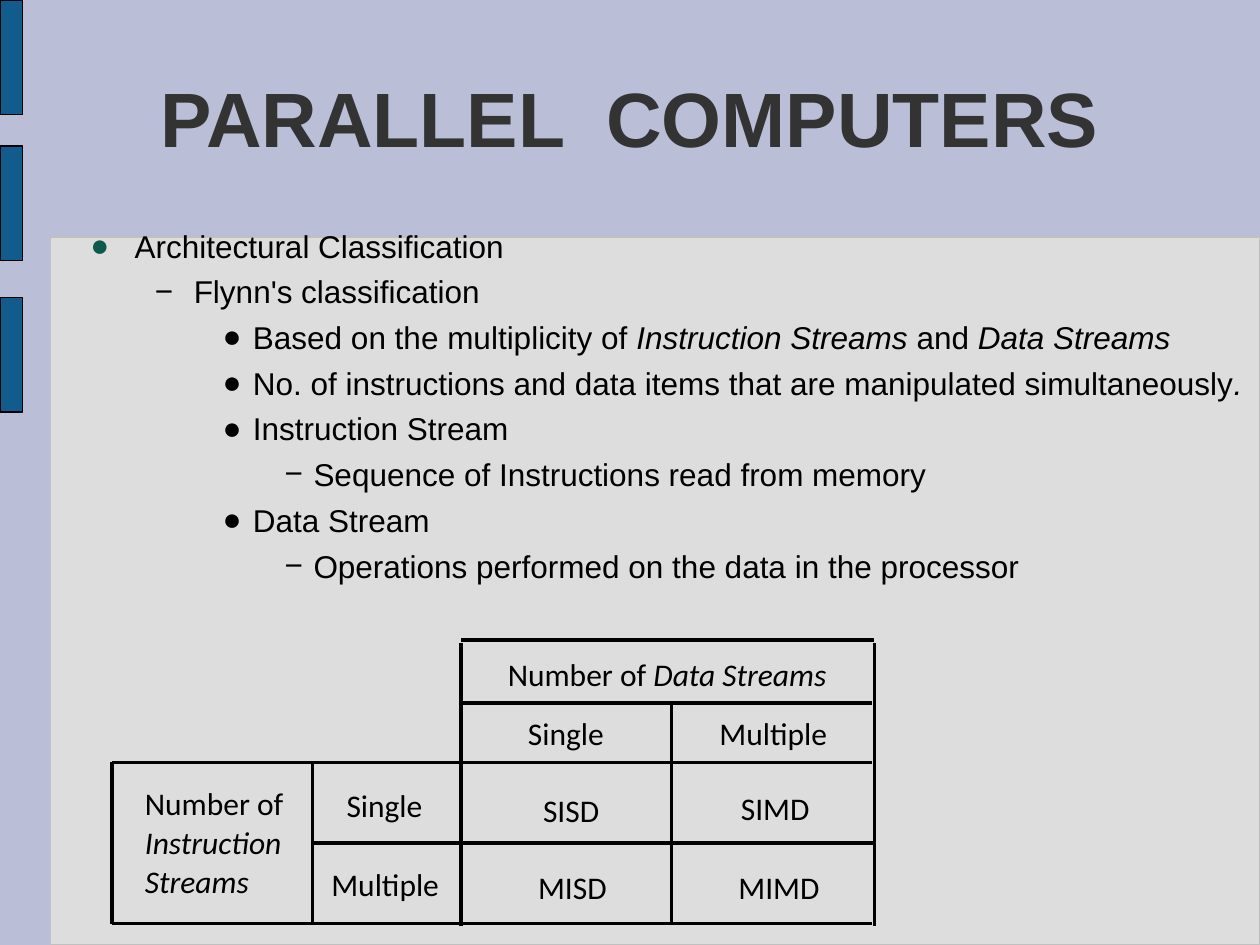
from lxml import etree
from pptx import Presentation
from pptx.dml.color import RGBColor
from pptx.enum import shapes, text
from pptx.oxml.ns import qn
from pptx.util import Inches, Pt

BACKGROUND = RGBColor(0xBA, 0xBE, 0xD6)
PANEL = RGBColor(0xDD, 0xDD, 0xDD)
PANEL_EDGE = RGBColor(0xC0, 0xC0, 0xC0)
BLUE = RGBColor(0x12, 0x5C, 0x8D)
GREEN = RGBColor(0x0E, 0x59, 0x4D)
TITLE_GREY = RGBColor(0x33, 0x33, 0x33)
BLACK = RGBColor(0, 0, 0)

# Bullet character, bullet colour, left margin and first-line indent per level
LEVELS = [
    ("●", GREEN, 0.47, -0.35),
    ("−", BLACK, 0.94, -0.31),
    ("●", BLACK, 1.41, -0.24),
    ("−", BLACK, 1.89, -0.23),
]

# Text between asterisks is italic
OUTLINE = [
    (0, "Architectural Classification"),
    (1, "Flynn's classification"),
    (2, "Based on the multiplicity of *Instruction Streams* and *Data Streams*"),
    (2, "No. of instructions and data items that are manipulated simultaneously*.*"),
    (2, "Instruction Stream"),
    (3, "Sequence of Instructions read from memory"),
    (2, "Data Stream"),
    (3, "Operations performed on the data in the processor"),
]

BAR_TOPS = [0, 1.16, 2.36]

MATRIX_LINES = [
    (3.66, 5.08, 6.94, 5.08),
    (3.66, 5.58, 6.92, 5.58),
    (0.89, 6.05, 6.92, 6.05),
    (2.48, 6.69, 6.94, 6.69),
    (0.89, 7.33, 6.92, 7.33),
    (0.89, 6.05, 0.89, 7.33),
    (2.48, 6.05, 2.48, 7.33),
    (3.66, 5.1, 3.66, 7.35),
    (5.33, 5.58, 5.33, 7.33),
    (6.94, 5.1, 6.94, 7.35),
]

# Left, top, width and lines; each width leaves a little room beside the text
MATRIX_LABELS = [
    (3.96, 5.16, 2.71, ["Number of *Data Streams*"]),
    (4.12, 5.63, 0.78, ["Single"]),
    (5.64, 5.63, 1.03, ["Multiple"]),
    (1.08, 6.19, 1.28, ["Number of", "*Instruction*", "*Streams*"]),
    (2.68, 6.2, 0.78, ["Single"]),
    (2.56, 6.83, 1.03, ["Multiple"]),
    (4.24, 6.24, 0.63, ["SISD"]),
    (5.81, 6.23, 0.72, ["SIMD"]),
    (4.2, 6.85, 0.72, ["MISD"]),
    (5.79, 6.85, 0.82, ["MIMD"]),
]


def add_box(slide, kind, left, top, width, height, fill, edge):
    shape = slide.shapes.add_shape(
        kind, Inches(left), Inches(top), Inches(width), Inches(height))
    shape.shadow.inherit = False
    shape.fill.solid()
    shape.fill.fore_color.rgb = fill
    shape.line.color.rgb = edge
    shape.line.width = Pt(0.75)
    return shape


def add_text_frame(slide, left, top, width, height, wrap=True):
    box = slide.shapes.add_textbox(
        Inches(left), Inches(top), Inches(width), Inches(height))
    box.text_frame.word_wrap = wrap
    return box.text_frame


def next_paragraph(frame, index):
    return frame.add_paragraph() if index else frame.paragraphs[0]


def style_font(paragraph, name, size, color):
    paragraph.font.name = name
    paragraph.font.size = Pt(size)
    paragraph.font.color.rgb = color


def add_runs(paragraph, marked_text):
    """Add runs, with the parts between asterisks in italics."""
    for index, part in enumerate(marked_text.split("*")):
        if part:
            run = paragraph.add_run()
            run.text = part
            if index % 2:
                run.font.italic = True


def set_bullet(paragraph, level):
    character, color, margin, indent = LEVELS[level]
    paragraph.level = level
    properties = paragraph._p.get_or_add_pPr()
    properties.set("marL", str(Inches(margin)))
    properties.set("indent", str(Inches(indent)))
    bullet_color = etree.SubElement(properties, qn("a:buClr"))
    etree.SubElement(bullet_color, qn("a:srgbClr"), val=str(color))
    etree.SubElement(properties, qn("a:buFont"), typeface="Arial")
    etree.SubElement(properties, qn("a:buChar"), char=character)


def add_title(slide):
    frame = add_text_frame(slide, 0.5, 0.3, 9, 1.25)
    frame.vertical_anchor = text.MSO_ANCHOR.MIDDLE
    paragraph = frame.paragraphs[0]
    paragraph.alignment = text.PP_ALIGN.CENTER
    add_runs(paragraph, "PARALLEL  COMPUTERS")
    style_font(paragraph, "Arial", 44, TITLE_GREY)
    paragraph.font.bold = True


def add_outline(slide):
    frame = add_text_frame(slide, 0.5, 1.75, 9.5, 5.52)
    for index, (level, marked_text) in enumerate(OUTLINE):
        paragraph = next_paragraph(frame, index)
        set_bullet(paragraph, level)
        if index:
            paragraph.space_before = Pt(4.5)
        add_runs(paragraph, marked_text)
        style_font(paragraph, "Arial", 18, BLACK)


def add_label(slide, left, top, width, lines):
    frame = add_text_frame(
        slide, left, top, width, 0.06 + 0.3 * len(lines), wrap=False)
    frame.auto_size = text.MSO_AUTO_SIZE.SHAPE_TO_FIT_TEXT
    frame.margin_left = frame.margin_right = Inches(0.07)
    frame.margin_top = frame.margin_bottom = Inches(0.03)
    for index, marked_text in enumerate(lines):
        paragraph = next_paragraph(frame, index)
        paragraph.line_spacing = 1.02
        add_runs(paragraph, marked_text)
        style_font(paragraph, "Calibri", 18, BLACK)


def add_line(slide, *ends):
    line = slide.shapes.add_connector(
        shapes.MSO_CONNECTOR.STRAIGHT, *map(Inches, ends))
    line.line.color.rgb = BLACK
    line.line.width = Pt(2)
    etree.SubElement(line._element.spPr, qn("a:effectLst"))


def main():
    presentation = Presentation()
    presentation.slide_width = Inches(10)
    presentation.slide_height = Inches(7.5)
    slide = presentation.slides.add_slide(presentation.slide_layouts[6])
    slide.background.fill.solid()
    slide.background.fill.fore_color.rgb = BACKGROUND

    panel = add_box(slide, shapes.MSO_SHAPE.ROUNDED_RECTANGLE,
                    0.4, 1.88, 9.6, 5.62, PANEL, PANEL_EDGE)
    panel.adjustments[0] = 0
    for top in BAR_TOPS:
        add_box(slide, shapes.MSO_SHAPE.RECTANGLE,
                0, top, 0.18, 0.91, BLUE, BLACK)

    add_title(slide)
    add_outline(slide)
    for ends in MATRIX_LINES:
        add_line(slide, *ends)
    for label in MATRIX_LABELS:
        add_label(slide, *label)
    presentation.save("out.pptx")


if __name__ == "__main__":
    main()
